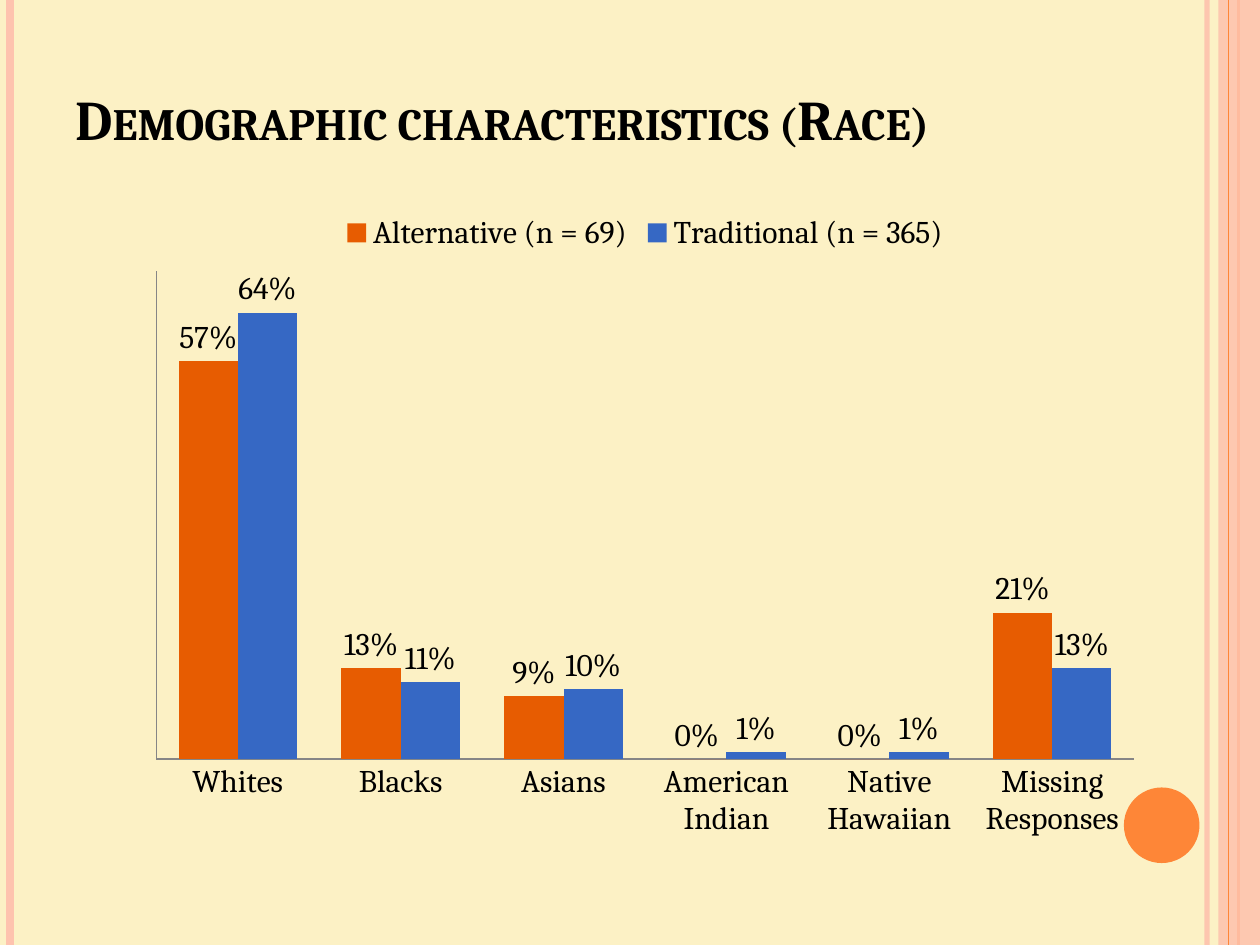
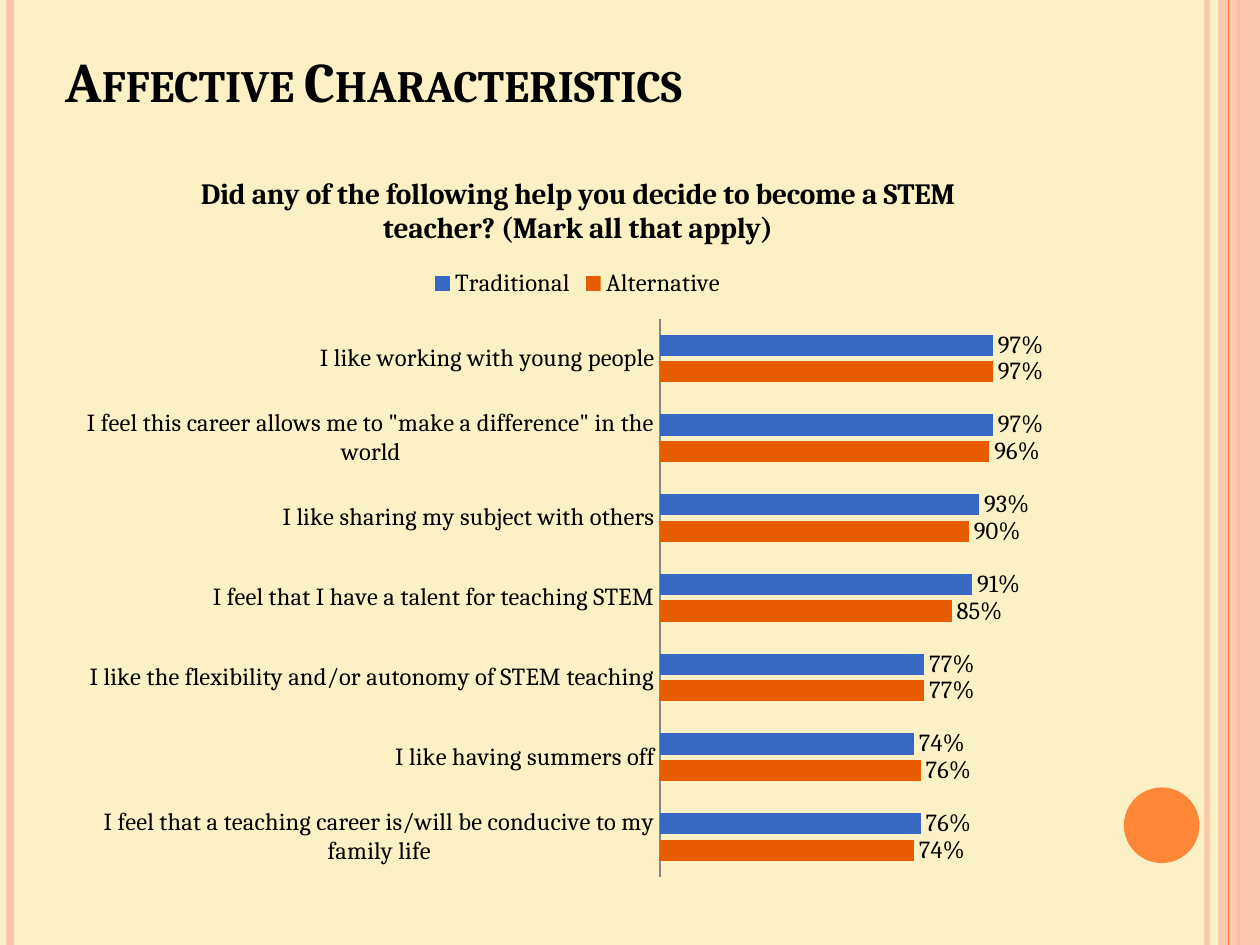
from lxml import etree
from pptx import Presentation
from pptx.chart.data import CategoryChartData
from pptx.dml.color import RGBColor
from pptx.enum.chart import (XL_CHART_TYPE, XL_LABEL_POSITION,
                             XL_LEGEND_POSITION, XL_TICK_LABEL_POSITION,
                             XL_TICK_MARK)
from pptx.enum.shapes import MSO_CONNECTOR, MSO_SHAPE
from pptx.enum.text import MSO_ANCHOR
from pptx.oxml import parse_xml
from pptx.oxml.ns import nsdecls, qn
from pptx.util import Inches, Pt

COLUMN = XL_CHART_TYPE.COLUMN_CLUSTERED
BAR = XL_CHART_TYPE.BAR_CLUSTERED
OUTSIDE = XL_LABEL_POSITION.OUTSIDE_END
TOP = XL_LEGEND_POSITION.TOP
NO_LABEL = XL_TICK_LABEL_POSITION.NONE
NO_TICK = XL_TICK_MARK.NONE
STRAIGHT = MSO_CONNECTOR.STRAIGHT
RECT, OVAL = MSO_SHAPE.RECTANGLE, MSO_SHAPE.OVAL
BOTTOM = MSO_ANCHOR.BOTTOM

FONT = "Cambria"
COLORS = {"paper": "FCF1C5", "pink": "FEC3AE", "orange": "FE8637",
          "ink": "000000", "axis": "868686",
          "alt": "E75C01", "trad": "3668C4"}
HUES = {name: RGBColor.from_string(code) for name, code in COLORS.items()}

# Vertical stripes: x, colour, width in points, opacity in percent
STRIPES = [(9.58, "pink", 3, 93), (0.08, "pink", 4.5, 100),
           (9.83, "orange", 1.5, 100), (9.75, "orange", 0.75, 100)]
BAND_AT = 3  # the wide band lies over this many stripes

PAGES = [
    {"title": "Demographic characteristics (Race)",
     "head": (0.5, 0.3, 9, 0.95),
     "kind": COLUMN, "place": (1.08, 1.58, 8.08, 5.17), "size": 18,
     "plot": (0.02, 0.11, 0.96, 0.75), "top": 0.7, "gap": 75, "overlap": 0,
     "cats": ["Whites", "Blacks", "Asians", "American Indian",
              "Native Hawaiian", "Missing Responses"],
     "series": [
         ("Alternative (n = 69)", "alt", (0.57, 0.13, 0.09, 0, 0, 0.21)),
         ("Traditional (n = 365)", "trad",
          (0.64, 0.11, 0.1, 0.01, 0.01, 0.13))]},
    {"title": "Affective Characteristics",
     "head": (0.42, 0.25, 9, 0.7),
     "kind": BAR, "place": (0.5, 1.17, 8.17, 5.91), "size": 14,
     "plot": (0.58, 0.23, 0.4, 0.75), "top": 1.2, "gap": 150, "overlap": -25,
     "ask": "Did any of the following help you decide to become a STEM "
            "teacher? (Mark all that apply)",
     "cats": [
         "I feel that a teaching career is/will be conducive to my "
         "family life",
         "I like having summers off",
         "I like the flexibility and/or autonomy of STEM teaching",
         "I feel that I have a talent for teaching STEM",
         "I like sharing my subject with others",
         'I feel this career allows me to "make a difference" in the world',
         "I like working with young people"],
     "series": [
         ("Alternative", "alt", (0.74, 0.76, 0.77, 0.85, 0.9, 0.96, 0.97)),
         ("Traditional", "trad",
          (0.76, 0.74, 0.77, 0.91, 0.93, 0.97, 0.97))]},
]


def write(frame, text, size=32, color="ink", bold=True, caps=False):
    run = frame.paragraphs[0].add_run()
    run.text = text
    font = run.font
    font.name, font.size, font.bold = FONT, Pt(size), bold
    font.color.rgb = HUES[color]
    if caps:
        run._r.get_or_add_rPr().set("cap", "small")


def fade(item, share):
    """Make the first solid colour of a shape or line see-through."""
    tint = next(item._element.spPr.iter(qn("a:srgbClr")))
    etree.SubElement(tint, qn("a:alpha")).set("val", str(share * 1000))


deck = Presentation()
deck.slide_width, deck.slide_height = Inches(10), Inches(7.5)

for page in PAGES:
    slide = deck.slides.add_slide(deck.slide_layouts[6])
    slide.background.fill.solid()
    slide.background.fill.fore_color.rgb = HUES["paper"]
    shapes = slide.shapes

    # Side stripes, wide band and disc
    for index, (x, color, width, share) in enumerate(STRIPES):
        if index == BAND_AT:
            band = shapes.add_shape(RECT, Inches(9.67), 0,
                                    Inches(0.33), Inches(7.5))
        stripe = shapes.add_connector(STRAIGHT, Inches(x), 0,
                                      Inches(x), Inches(7.5))
        stripe.line.color.rgb = HUES[color]
        stripe.line.width = Pt(width)
        etree.SubElement(stripe._element.spPr, qn("a:effectLst"))
        if share < 100:
            fade(stripe, share)
    disc = shapes.add_shape(OVAL, Inches(8.92), Inches(6.25),
                            Inches(0.6), Inches(0.6))
    for shape, color in ((band, "pink"), (disc, "orange")):
        shape.shadow.inherit = False
        shape.fill.solid()
        shape.fill.fore_color.rgb = HUES[color]
        shape.line.fill.background()
    fade(band, 87)

    head = shapes.add_textbox(*map(Inches, page["head"])).text_frame
    head.word_wrap = True
    head.vertical_anchor = BOTTOM
    write(head, page["title"], caps=True)

    # Chart
    data = CategoryChartData(number_format="0%")
    data.categories = page["cats"]
    for name, color, values in page["series"]:
        data.add_series(name, values)
    chart = shapes.add_chart(page["kind"], *map(Inches, page["place"]),
                             data).chart
    chart.font.name, chart.font.size = FONT, Pt(page["size"])
    chart.font.color.rgb = HUES["ink"]
    chart.has_legend = True
    chart.legend.position = TOP
    chart.legend.include_in_layout = False
    chart.has_title = "ask" in page
    if chart.has_title:
        write(chart.chart_title.text_frame, page["ask"], size=16.8)
        chart.chart_title.include_in_layout = False

    for axis in (chart.category_axis, chart.value_axis):
        axis.major_tick_mark = axis.minor_tick_mark = NO_TICK
        axis.has_major_gridlines = False
        axis.format.line.color.rgb = HUES["axis"]
    scale = chart.value_axis
    scale.minimum_scale, scale.maximum_scale = 0, page["top"]
    scale.tick_label_position = NO_LABEL
    scale.visible = page["kind"] == COLUMN

    plot = chart.plots[0]
    plot.gap_width, plot.overlap = page["gap"], page["overlap"]
    plot.vary_by_categories = False
    for series, (name, color, values) in zip(plot.series, page["series"]):
        series.format.fill.solid()
        series.format.fill.fore_color.rgb = HUES[color]
        series.invert_if_negative = False
        labels = series.data_labels
        labels.show_value = True
        labels.number_format = "0%"
        labels.number_format_is_linked = False
        labels.position = OUTSIDE

    # Inner plot area as shares of the chart frame
    area = next(chart.element.iter(qn("c:plotArea")))
    for old in area.findall(qn("c:layout")):
        area.remove(old)
    sides = "".join(f'<c:{key} val="{share}"/>'
                    for key, share in zip("xywh", page["plot"]))
    area.insert(0, parse_xml(
        f'<c:layout {nsdecls("c")}><c:manualLayout>'
        '<c:layoutTarget val="inner"/><c:xMode val="edge"/>'
        f'<c:yMode val="edge"/>{sides}</c:manualLayout></c:layout>'))

deck.save("out.pptx")
